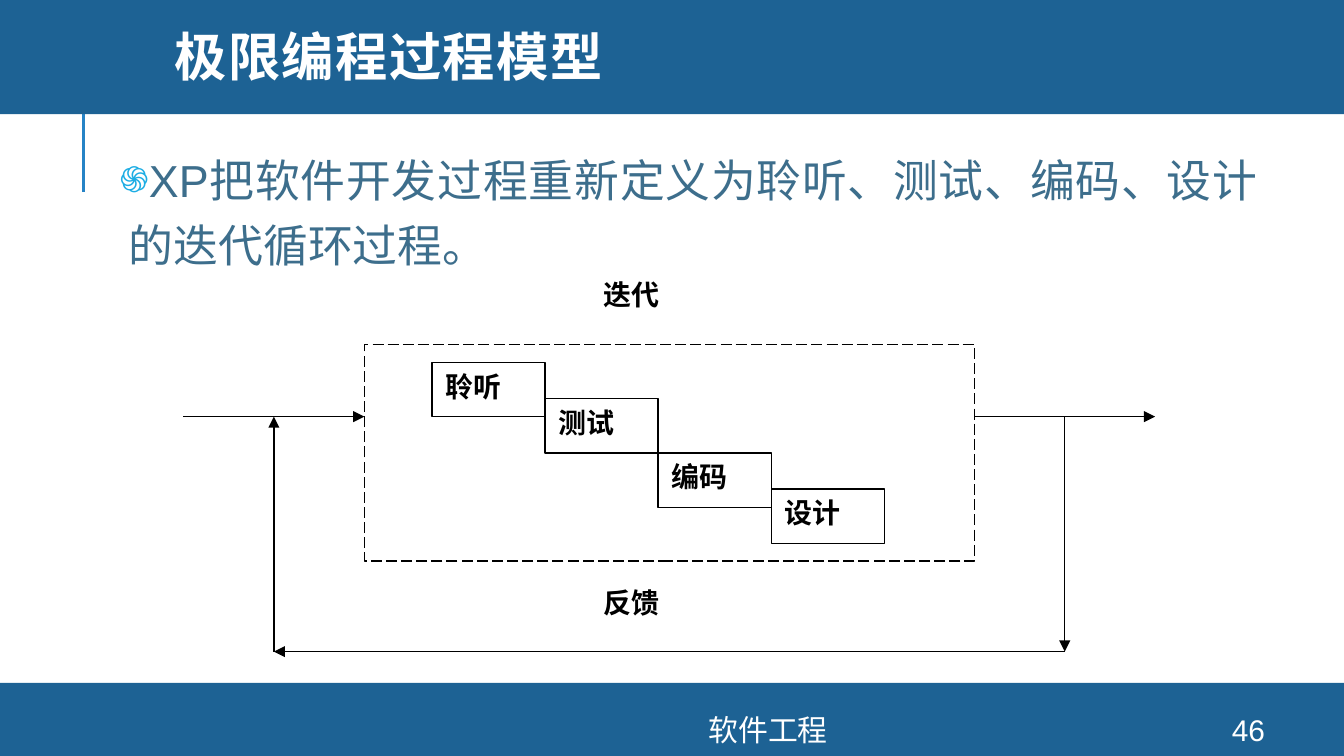
from lxml import etree
from pptx import Presentation
from pptx.dml.color import RGBColor
from pptx.enum.dml import MSO_LINE
from pptx.enum.shapes import MSO_CONNECTOR, MSO_SHAPE
from pptx.enum.text import MSO_ANCHOR, MSO_AUTO_SIZE, PP_ALIGN
from pptx.oxml.ns import qn
from pptx.util import Pt

RECTANGLE = MSO_SHAPE.RECTANGLE
STRAIGHT = MSO_CONNECTOR.STRAIGHT
LONG_DASH = MSO_LINE.LONG_DASH
TOP, MIDDLE = MSO_ANCHOR.TOP, MSO_ANCHOR.MIDDLE
LEFT, CENTER, JUSTIFY = PP_ALIGN.LEFT, PP_ALIGN.CENTER, PP_ALIGN.JUSTIFY
NO_FIT = MSO_AUTO_SIZE.NONE

BLUE, WHITE, BLACK = "1D6294", "FFFFFF", "000000"
TITLE = "极限编程过程模型"
BODY = "XP把软件开发过程重新定义为聆听、测试、编码、设计的迭代循环过程。"
BANDS = [(0, -2, 720, 63.2), (0, 365.8, 720, 39.2)]
FOOTERS = [("46", (640, 382.3, 57.6, 16.6)), ("软件工程", (188, 382.3, 447, 16.6))]
FRAME = (195.2, 184.6, 326.8, 116)
STEPS = [("聆听", 194.2), ("测试", 213.6), ("编码", 242.7), ("设计", 262)]
STEP_LEFT, STEP_WIDTH, STEP_HEIGHT = 231.4, 60.6, 29.1
LABELS = [("迭代", 145.4), ("反馈", 310.2)]
LABEL_LEFT = 316
FLOW_TOP, FLOW_BOTTOM = 223.2, 349.1
FLOW_START, FLOW_END = 98.2, 618.8
LOOP_LEFT, LOOP_RIGHT = 146.7, 570.4


def color(hex_text):
    """Turn a hex string into a colour."""
    return RGBColor.from_string(hex_text)


def write(shape, text, size, font, hex_text, bold=False, align=JUSTIFY, anchor=TOP):
    """Write one formatted run in a shape and return its paragraph and run."""
    frame = shape.text_frame
    frame.word_wrap = True
    frame.auto_size = NO_FIT
    frame.vertical_anchor = anchor
    para = frame.paragraphs[0]
    para.alignment = align
    para.space_before = Pt(0)
    span = para.add_run()
    span.text = text
    span.font.size = Pt(size)
    span.font.name = font
    span.font.bold = bold
    span.font.color.rgb = color(hex_text)
    return para, span


def place(shape, area):
    """Move and size a shape."""
    shape.left, shape.top, shape.width, shape.height = map(Pt, area)


def add_box(page, area, fill, outline=None):
    """Add a flat rectangle with an optional outline."""
    box = page.shapes.add_shape(RECTANGLE, *map(Pt, area))
    box.shadow.inherit = False
    box.fill.solid()
    box.fill.fore_color.rgb = color(fill)
    if outline:
        box.line.color.rgb = color(outline)
        box.line.width = Pt(0.75)
    else:
        box.line.fill.background()
    return box


def add_line(page, start, end, hex_text, width, arrow=False):
    """Add a straight line, with an arrowhead at its end if asked."""
    line = page.shapes.add_connector(STRAIGHT, *map(Pt, start + end))
    line.line.color.rgb = color(hex_text)
    line.line.width = Pt(width)
    if arrow:
        etree.SubElement(line.line._get_or_add_ln(), qn("a:tailEnd"), type="triangle")
    etree.SubElement(line.element.spPr, qn("a:effectLst"))


def add_bullet(para):
    """Give a paragraph the swirl bullet and its hanging indent."""
    props = para._p.get_or_add_pPr()
    props.set("marL", str(Pt(5)))
    props.set("indent", str(Pt(-34)))
    tint = etree.SubElement(props, qn("a:buClr"))
    etree.SubElement(tint, qn("a:srgbClr"), val="1CADE4")
    etree.SubElement(props, qn("a:buSzPct"), val="80000")
    etree.SubElement(props, qn("a:buFont"), typeface="Arial")
    etree.SubElement(props, qn("a:buChar"), char="֍")


def add_header(page):
    """Add the bands, the title, the body text and the footer."""
    add_line(page, (44.6, 103), (44.6, 49), "2683C6", 1.5)
    for area in BANDS:
        add_box(page, area, BLUE)
    title, body = page.placeholders
    for holder in (title, body):
        page.shapes.element.append(holder.element)

    place(title, (86.4, 0, 611.3, 65.5))
    para, span = write(title, TITLE, 28, "Montserrat", WHITE, True, LEFT, MIDDLE)
    para.line_spacing = 0.8
    span.font._element.set("spc", "80")

    place(body, (60.5, 72.7, 617, 299.5))
    para, span = write(body, BODY, 24, "Arial", "3D6E8C")
    para.line_spacing = 1.2
    add_bullet(para)
    frame = body.text_frame
    frame.margin_left = frame.margin_right = Pt(3.6)
    frame.margin_top = frame.margin_bottom = Pt(3.6)

    for text, area in FOOTERS:
        box = page.shapes.add_textbox(*map(Pt, area))
        write(box, text, 16, "Arial", WHITE, align=CENTER, anchor=MIDDLE)


def add_diagram(page):
    """Add the iteration frame, its steps and the feedback loop."""
    add_box(page, FRAME, WHITE, BLACK).line.dash_style = LONG_DASH
    for index, (text, top) in enumerate(STEPS):
        left = STEP_LEFT + index * STEP_WIDTH
        box = add_box(page, (left, top, STEP_WIDTH, STEP_HEIGHT), WHITE, BLACK)
        write(box, text, 15, "Times New Roman", BLACK, True)
    for text, top in LABELS:
        area = (LABEL_LEFT, top, STEP_WIDTH, STEP_HEIGHT)
        box = page.shapes.add_textbox(*map(Pt, area))
        write(box, text, 15, "Times New Roman", BLACK, True)

    frame_left, frame_right = FRAME[0], FRAME[0] + FRAME[2]
    loop = [(LOOP_RIGHT, FLOW_TOP), (LOOP_RIGHT, FLOW_BOTTOM),
            (LOOP_LEFT, FLOW_BOTTOM), (LOOP_LEFT, FLOW_TOP)]
    arrows = [((FLOW_START, FLOW_TOP), (frame_left, FLOW_TOP)),
              ((frame_right, FLOW_TOP), (FLOW_END, FLOW_TOP)),
              *zip(loop, loop[1:])]
    for start, end in arrows:
        add_line(page, start, end, BLACK, 0.75, arrow=True)


def main():
    """Build and save the deck."""
    deck = Presentation()
    deck.slide_width, deck.slide_height = Pt(720), Pt(405)
    page = deck.slides.add_slide(deck.slide_layouts[1])
    add_header(page)
    add_diagram(page)
    deck.save("out.pptx")


if __name__ == "__main__":
    main()
